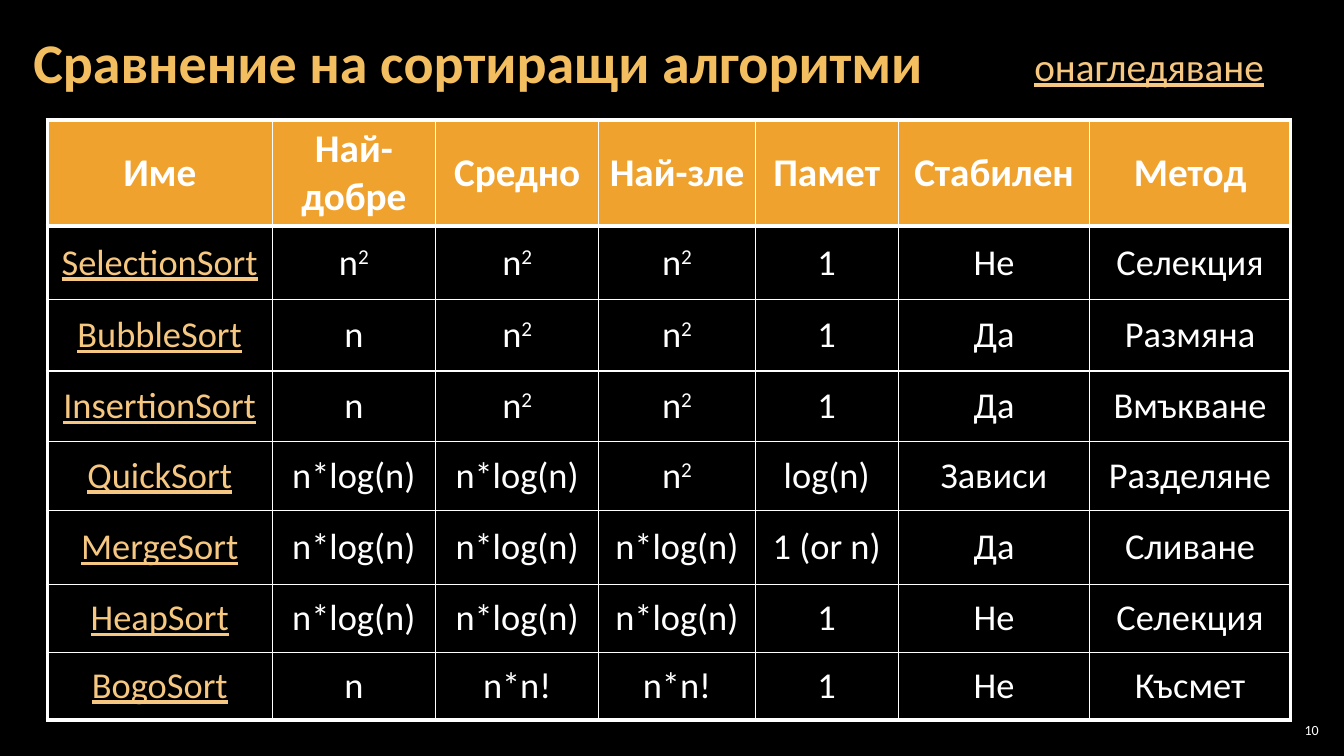
import dataclasses

import pptx
import pptx.dml.color
import pptx.enum.text
import pptx.oxml
import pptx.oxml.ns
import pptx.util
from pptx.util import Inches


@dataclasses.dataclass(frozen=True)
class Theme:
    font: str = "Calibri"
    background: str = "000000"
    text: str = "FFFFFF"
    title: str = "F3BE60"
    link: str = "F6C781"
    header: str = "F0A22E"
    title_size: int = 40
    large_size: int = 28
    body_size: int = 26
    number_size: int = 10
    thin_line: int = 1
    thick_line: int = 3


THEME = Theme()
ALIGN = pptx.enum.text.PP_ALIGN
MIDDLE = pptx.enum.text.MSO_ANCHOR.MIDDLE
COLUMN_WIDTHS = [2.23, 1.62, 1.62, 1.55, 1.42, 1.9, 1.99]
ROW_HEIGHTS = [0.75, 0.73, 0.71, 0.7, 0.68, 0.74, 0.67, 0.67]
ALGORITHMS = [
    ["Име", "Най-добре", "Средно", "Най-зле", "Памет", "Стабилен", "Метод"],
    ["SelectionSort", "n^2", "n^2", "n^2", "1", "Не", "Селекция"],
    ["BubbleSort", "n", "n^2", "n^2", "1", "Да", "Размяна"],
    ["InsertionSort", "n", "n^2", "n^2", "1", "Да", "Вмъкване"],
    ["QuickSort", "n*log(n)", "n*log(n)", "n^2", "log(n)", "Зависи", "Разделяне"],
    ["MergeSort", "n*log(n)", "n*log(n)", "n*log(n)", "1 (or n)", "Да", "Сливане"],
    ["HeapSort", "n*log(n)", "n*log(n)", "n*log(n)", "1", "Не", "Селекция"],
    ["BogoSort", "n", "n*n!", "n*n!", "1", "Не", "Късмет"],
]


def rgb(color):
    return pptx.dml.color.RGBColor.from_string(color)


def format_runs(para, size, color, bold=False, underline=False):
    for span in para.runs:
        span.font.name = THEME.font
        span.font.size = pptx.util.Pt(size)
        span.font.color.rgb = rgb(color)
        span.font.bold = bold
        span.font.underline = underline


def set_margins(frame, horizontal, vertical):
    frame.margin_left = frame.margin_right = Inches(horizontal)
    frame.margin_top = frame.margin_bottom = Inches(vertical)


def set_title(page, text):
    title = page.shapes.title
    title.left, title.top = Inches(0.21), Inches(0.04)
    title.width, title.height = Inches(12.91), Inches(1.21)
    frame = title.text_frame
    frame.text = text
    frame.auto_size = pptx.enum.text.MSO_AUTO_SIZE.NONE
    frame.vertical_anchor = MIDDLE
    set_margins(frame, 0.12, 0.04)
    para = frame.paragraphs[0]
    para.alignment = ALIGN.LEFT
    para.line_spacing = 0.9
    format_runs(para, THEME.title_size, THEME.title, bold=True)


def add_label(page, text, left, top, width, height, size, color, underline=False):
    box = page.shapes.add_textbox(Inches(left), Inches(top), Inches(width), Inches(height))
    frame = box.text_frame
    frame.text = text
    format_runs(frame.paragraphs[0], size, color, underline=underline)
    return frame


def add_border(cell, position, side, width):
    line = pptx.oxml.parse_xml(
        f'<a:{side} {pptx.oxml.ns.nsdecls("a")} w="{pptx.util.Pt(width)}">'
        f'<a:solidFill><a:srgbClr val="{THEME.text}"/></a:solidFill></a:{side}>'
    )
    cell._tc.get_or_add_tcPr().insert(position, line)


def fill_cell(cell, color, opacity=100):
    cell.fill.solid()
    cell.fill.fore_color.rgb = rgb(color)
    if opacity < 100:
        tint = cell._tc.tcPr.find(".//" + pptx.oxml.ns.qn("a:srgbClr"))
        tint.append(pptx.oxml.parse_xml(
            f'<a:alpha {pptx.oxml.ns.nsdecls("a")} val="{opacity * 1000}"/>'))


def write_cell(cell, text, is_header, is_name):
    cell.vertical_anchor = MIDDLE
    base, _, power = text.partition("^")
    cell.text_frame.text = base
    para = cell.text_frame.paragraphs[0]
    para.alignment = ALIGN.CENTER
    if power:
        exponent = para.add_run()
        exponent.text = power
        exponent._r.get_or_add_rPr().set("baseline", "30000")
    if is_header:
        format_runs(para, THEME.large_size, THEME.text, bold=True)
        fill_cell(cell, THEME.header)
    else:
        color = THEME.link if is_name else THEME.text
        format_runs(para, THEME.body_size, color, underline=is_name)
        fill_cell(cell, THEME.background, opacity=30)


def add_comparison(page):
    last_row, last_column = len(ROW_HEIGHTS) - 1, len(COLUMN_WIDTHS) - 1
    graphic = page.shapes.add_table(
        len(ROW_HEIGHTS), len(COLUMN_WIDTHS),
        Inches(0.47), Inches(1.19), Inches(12.33), Inches(5.93))
    table = graphic.table
    table.horz_banding = False
    for column, width in zip(table.columns, COLUMN_WIDTHS):
        column.width = Inches(width)
    for row, height in zip(table.rows, ROW_HEIGHTS):
        row.height = Inches(height)
    graphic.height = Inches(5.93)
    for r, values in enumerate(ALGORITHMS):
        for c, text in enumerate(values):
            cell = table.cell(r, c)
            write_cell(cell, text, is_header=r == 0, is_name=c == 0)
            thick_sides = {
                "lnL": c == 0,
                "lnR": c == last_column,
                "lnT": r <= 1,
                "lnB": r in (0, last_row),
            }
            for position, (side, thick) in enumerate(thick_sides.items()):
                width = THEME.thick_line if thick else THEME.thin_line
                add_border(cell, position, side, width)


def main():
    deck = pptx.Presentation()
    deck.slide_width, deck.slide_height = Inches(13.33), Inches(7.5)
    page = deck.slides.add_slide(deck.slide_layouts.get_by_name("Title Only"))
    page.background.fill.solid()
    page.background.fill.fore_color.rgb = rgb(THEME.background)

    set_title(page, "Сравнение на сортиращи алгоритми")
    add_comparison(page)

    demo = add_label(page, "онагледяване", 10.16, 0.37, 2.5, 0.57,
                     THEME.large_size, THEME.link, underline=True)
    demo.word_wrap = False
    demo.auto_size = pptx.enum.text.MSO_AUTO_SIZE.SHAPE_TO_FIT_TEXT

    number = add_label(page, "10", 12.65, 7.14, 0.47, 0.21, THEME.number_size, THEME.text)
    number.word_wrap = True
    number.vertical_anchor = MIDDLE
    number.paragraphs[0].alignment = ALIGN.RIGHT
    set_margins(number, 0.04, 0.04)

    deck.save("out.pptx")


if __name__ == "__main__":
    main()
